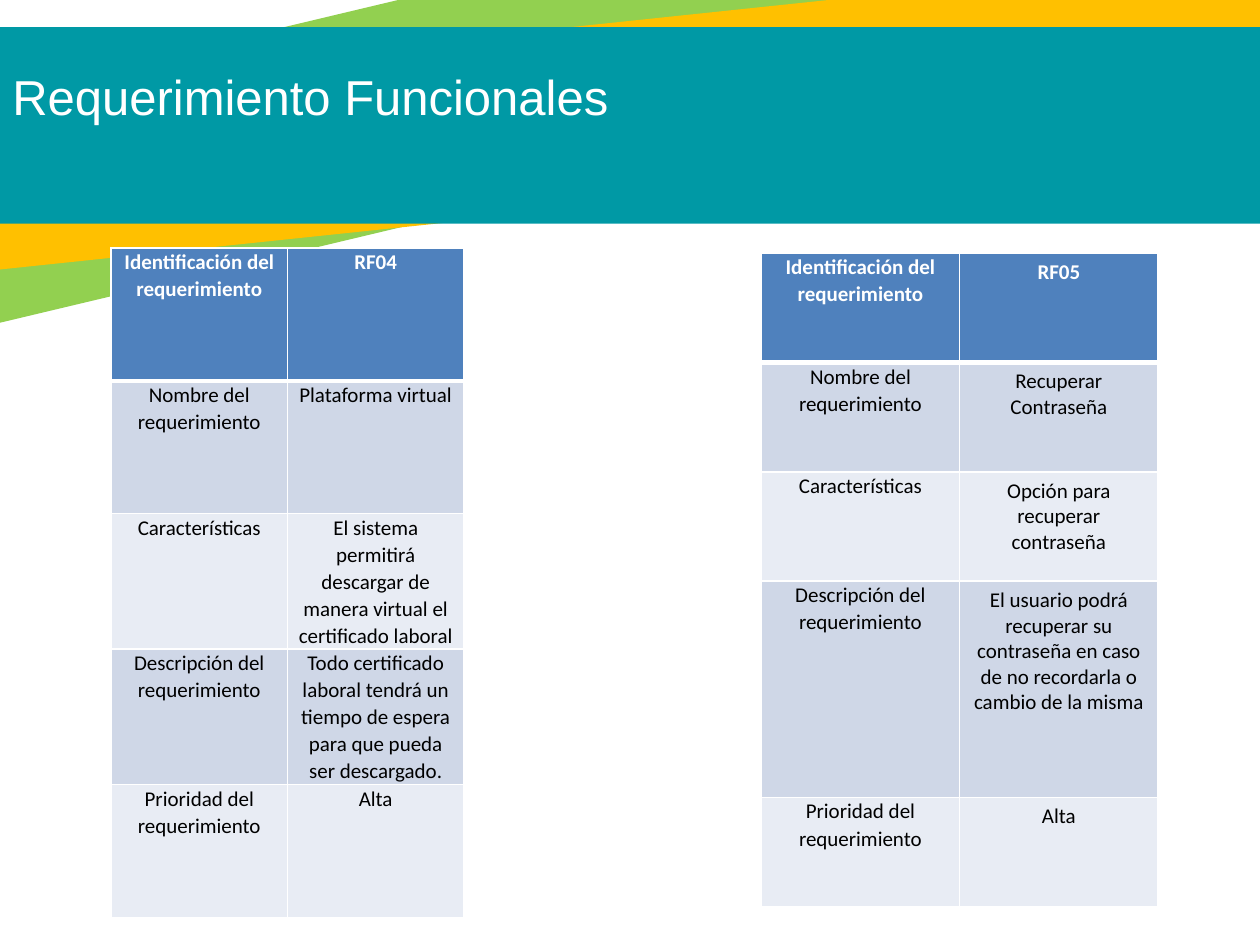
from dataclasses import dataclass

from lxml.etree import SubElement
from pptx import Presentation
from pptx.dml.color import RGBColor as Rgb
from pptx.enum.shapes import MSO_SHAPE as Shape
from pptx.enum.text import MSO_ANCHOR as Anchor, PP_ALIGN as Align
from pptx.oxml.ns import qn
from pptx.util import Pt


@dataclass(frozen=True)
class Theme:
    green: str = "92D050"
    amber: str = "FFC000"
    teal: str = "0099A5"
    header: str = "4F81BD"
    stripes: tuple = ("E8ECF4", "CFD7E7")
    white: str = "FFFFFF"
    black: str = "000000"
    title_font: str = "Arial"
    table_font: str = "Calibri"
    title_size: int = 28
    table_size: int = 12
    rule: int = 1
    header_rule: int = 3


TIGHT = {"margin_left": 5, "margin_right": 5, "margin_top": 0, "margin_bottom": 0}
ROOMY = {"margin_left": 7.2, "margin_right": 7.2, "margin_top": 3.6, "margin_bottom": 3.6}


class SlideBuilder:
    def __init__(self, slide, theme):
        self.slide = slide
        self.theme = theme

    def apply(self, target, formats):
        for name, value in formats.items():
            setattr(target, name, value)

    def add_span(self, para, text, color, formats):
        span = para.add_run()
        span.text = text
        self.apply(span.font, formats)
        span.font.color.rgb = Rgb.from_string(color)

    def band(self, left, top, width, height, color, rotation=0):
        box = self.slide.shapes.add_shape(
            Shape.RECTANGLE, Pt(left), Pt(top), Pt(width), Pt(height))
        box.rotation = rotation
        box.shadow.inherit = False
        box.fill.solid()
        box.fill.fore_color.rgb = Rgb.from_string(color)
        box.line.fill.background()

    def title(self, left, top, width, height, text):
        box = self.slide.shapes.add_textbox(Pt(left), Pt(top), Pt(width), Pt(height))
        self.apply(box.text_frame, {"word_wrap": True, "vertical_anchor": Anchor.TOP})
        self.add_span(box.text_frame.paragraphs[0], text, self.theme.white,
                      {"name": self.theme.title_font, "size": Pt(self.theme.title_size)})

    def borders(self, cell, widths):
        properties = cell._tc.get_or_add_tcPr()
        for side, width in widths.items():
            line = SubElement(properties, qn(f"a:ln{side}"), w=str(Pt(width)))
            fill = SubElement(line, qn("a:solidFill"))
            SubElement(fill, qn("a:srgbClr"), val=self.theme.white)

    def cell(self, cell, row, text, margins, spacing):
        theme = self.theme
        is_header = row == 0
        self.borders(cell, {
            "L": theme.rule,
            "R": theme.rule,
            "T": theme.header_rule if row == 1 else theme.rule,
            "B": theme.header_rule if is_header else theme.rule,
        })
        cell.fill.solid()
        cell.fill.fore_color.rgb = Rgb.from_string(
            theme.header if is_header else theme.stripes[row % 2])
        self.apply(cell, {name: Pt(value) for name, value in margins.items()})
        para = cell.text_frame.paragraphs[0]
        self.apply(para, {"alignment": Align.CENTER, "line_spacing": spacing})
        self.add_span(para, text, theme.white if is_header else theme.black,
                      {"name": theme.table_font, "size": Pt(theme.table_size),
                       "bold": is_header})

    def requirement(self, left, top, column_width, row_heights, values, value_style):
        table = self.slide.shapes.add_table(
            len(LABELS), 2, Pt(left), Pt(top),
            Pt(2 * column_width), Pt(sum(row_heights))).table
        self.apply(table, {"first_row": False, "horz_banding": False})
        for column in table.columns:
            column.width = Pt(column_width)
        for row, content in enumerate(zip(LABELS, values)):
            table.rows[row].height = Pt(row_heights[row])
            for column, (text, style) in enumerate(zip(content, (LABEL_STYLE, value_style))):
                self.cell(table.cell(row, column), row, text, *style)


LABEL_STYLE = (TIGHT, 1.06)
PLAIN_STYLE = (ROOMY, 1.0)
LABELS = [
    "Identificación del requerimiento",
    "Nombre del requerimiento",
    "Características",
    "Descripción del requerimiento",
    "Prioridad del requerimiento",
]
VIRTUAL_PLATFORM = [
    "RF04",
    "Plataforma virtual",
    "El sistema permitirá descargar de manera virtual el certificado laboral",
    "Todo certificado laboral tendrá un tiempo de espera para que pueda ser descargado.",
    "Alta",
]
PASSWORD_RECOVERY = [
    "RF05",
    "Recuperar Contraseña",
    "Opción para recuperar contraseña",
    "El usuario podrá recuperar su contraseña en caso de no recordarla o cambio de la misma",
    "Alta",
]


def main():
    deck = Presentation()
    deck.slide_width, deck.slide_height = Pt(720), Pt(540)
    theme = Theme()
    page = SlideBuilder(deck.slides.add_slide(deck.slide_layouts[6]), theme)

    page.band(-180.7, -13, 940.3, 126.7, theme.green, 346.6)
    page.band(-79.2, 14.4, 837.4, 103.7, theme.amber, 354)
    page.band(-76.3, 15.6, 837.4, 112.2, theme.teal)
    page.requirement(63.5, 141.8, 100.8, [75.9] * 5, VIRTUAL_PLATFORM, LABEL_STYLE)
    page.requirement(435, 144.7, 113.4, [62.5, 62.5, 62.5, 123.6, 62.5],
                     PASSWORD_RECOVERY, PLAIN_STYLE)
    page.title(0, 34.6, 483, 75, "Requerimiento Funcionales")

    deck.save("out.pptx")


if __name__ == "__main__":
    main()
